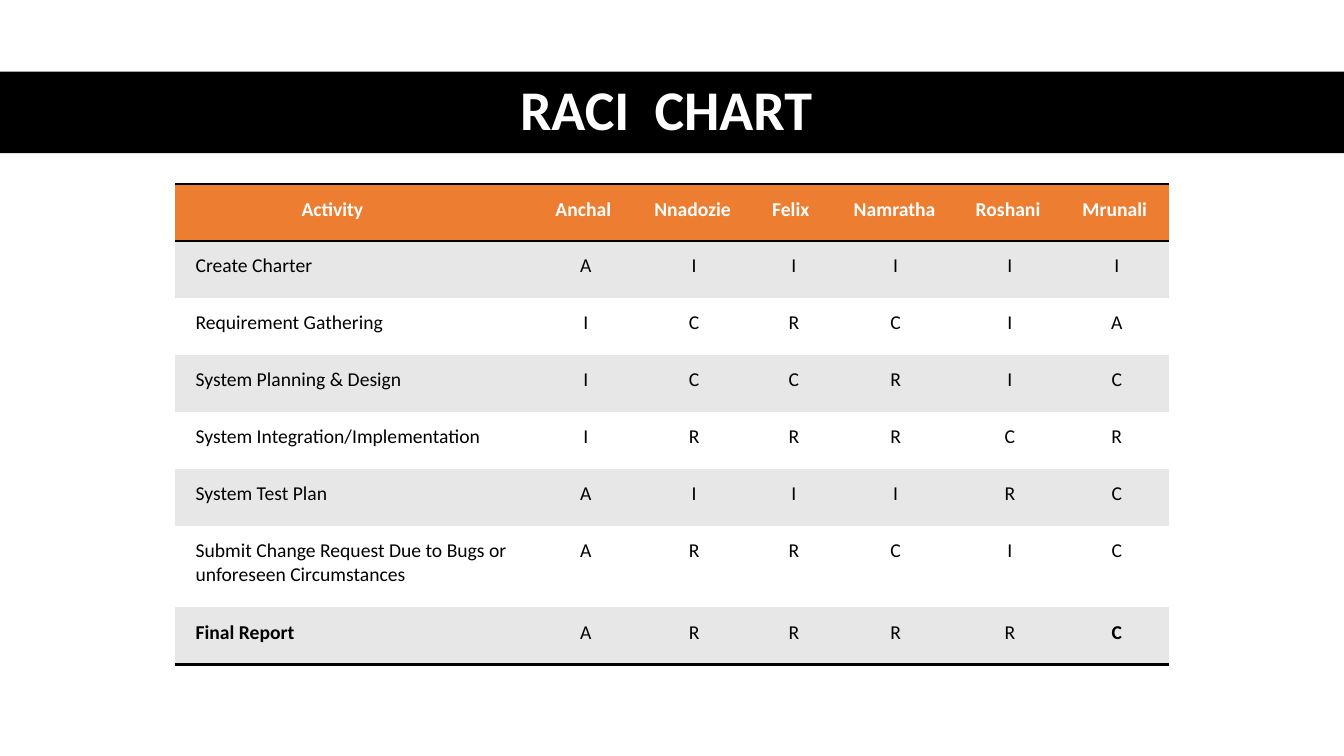
import lxml.etree
import pptx
import pptx.dml.color
import pptx.enum.shapes
import pptx.enum.text
import pptx.oxml.ns
import pptx.util

Pt = pptx.util.Pt
qn = pptx.oxml.ns.qn
ALIGN = pptx.enum.text.PP_ALIGN
COLORS = {"black": "000000", "white": "FFFFFF", "orange": "ED7D31", "gray": "E7E7E7"}
NO_GRID_STYLE = "{2D5ABB26-0587-4C30-8999-92F81FD0307C}"


def add_run(paragraph, text, size, color, bold):
    run = paragraph.add_run()
    run.text = text
    run.font.name = "Calibri"
    run.font.size = Pt(size)
    run.font.bold = bold
    run.font.color.rgb = pptx.dml.color.RGBColor.from_string(COLORS[color])
    return run


def add_border(cell, side):
    properties = cell._tc.get_or_add_tcPr()
    line = lxml.etree.SubElement(properties, qn("a:" + side), w=str(Pt(2)))
    fill = lxml.etree.SubElement(line, qn("a:solidFill"))
    lxml.etree.SubElement(fill, qn("a:srgbClr"), val=COLORS["black"])


presentation = pptx.Presentation()
presentation.slide_width = Pt(960)
presentation.slide_height = Pt(540)
slide = presentation.slides.add_slide(presentation.slide_layouts[6])

# Title band
band = slide.shapes.add_shape(
    pptx.enum.shapes.MSO_SHAPE.RECTANGLE, Pt(0), Pt(51.1), Pt(960), Pt(58.3))
band.shadow.inherit = False
band.fill.solid()
band.fill.fore_color.rgb = pptx.dml.color.RGBColor.from_string(COLORS["black"])
band.line.fill.background()

# Title, with a widened word gap
title = slide.shapes.add_textbox(Pt(34.4), Pt(51.1), Pt(882.7), Pt(58.3))
title.text_frame.word_wrap = True
title.text_frame.vertical_anchor = pptx.enum.text.MSO_ANCHOR.MIDDLE
paragraph = title.text_frame.paragraphs[0]
paragraph.alignment = ALIGN.CENTER
paragraph.line_spacing = 0.9
add_run(paragraph, "RACI", 40, "white", True)
gap = add_run(paragraph, " ", 40, "white", True)
gap.font._element.set("spc", "900")
add_run(paragraph, "CHART", 40, "white", True)

# RACI table: one letter per person for each activity
people = ["Anchal", "Nnadozie", "Felix", "Namratha", "Roshani", "Mrunali"]
activities = [
    ("Create Charter", "AIIIII"),
    ("Requirement Gathering", "ICRCIA"),
    ("System Planning & Design", "ICCRIC"),
    ("System Integration/Implementation", "IRRRCR"),
    ("System Test Plan", "AIIIRC"),
    ("Submit Change Request Due to Bugs or unforeseen Circumstances", "ARRCIC"),
    ("Final Report", "ARRRRC"),
]
rows = [["Activity", *people]] + [[name, *letters] for name, letters in activities]
column_widths = [257.1, 70.6, 84.2, 58.3, 87.1, 76.3, 76.3]
row_heights = [40.7] * 6 + [58.2, 40.7]
last_row = len(rows) - 1
last_column = len(column_widths) - 1

frame = slide.shapes.add_table(
    len(rows), len(column_widths), Pt(124.9), Pt(131.6),
    Pt(sum(column_widths)), Pt(sum(row_heights)))
table = frame.table
table.horz_banding = False
next(frame._element.iter(qn("a:tableStyleId"))).text = NO_GRID_STYLE
for column, width in zip(table.columns, column_widths):
    column.width = Pt(width)

for r, (row, height) in enumerate(zip(rows, row_heights)):
    table.rows[r].height = Pt(height)
    header = r == 0
    for c, text in enumerate(row):
        cell = table.cell(r, c)
        letter = not header and c > 0
        cell.margin_left = Pt(90.5 if header and c == 0 else 14.8)
        cell.margin_right = Pt(12.5 if letter else 9.4)
        cell.margin_top = cell.margin_bottom = Pt(9.4)

        # Rules around the header and under the last row
        if header:
            add_border(cell, "lnT")
        if r in (0, last_row):
            add_border(cell, "lnB")
        fill = "orange" if header else "gray" if r % 2 else "white"
        cell.fill.solid()
        cell.fill.fore_color.rgb = pptx.dml.color.RGBColor.from_string(COLORS[fill])

        paragraph = cell.text_frame.paragraphs[0]
        paragraph.alignment = ALIGN.CENTER if letter else ALIGN.LEFT
        bold = header or (r == last_row and c in (0, last_column))
        add_run(paragraph, text, 14, "white" if header else "black", bold)

presentation.save("out.pptx")
